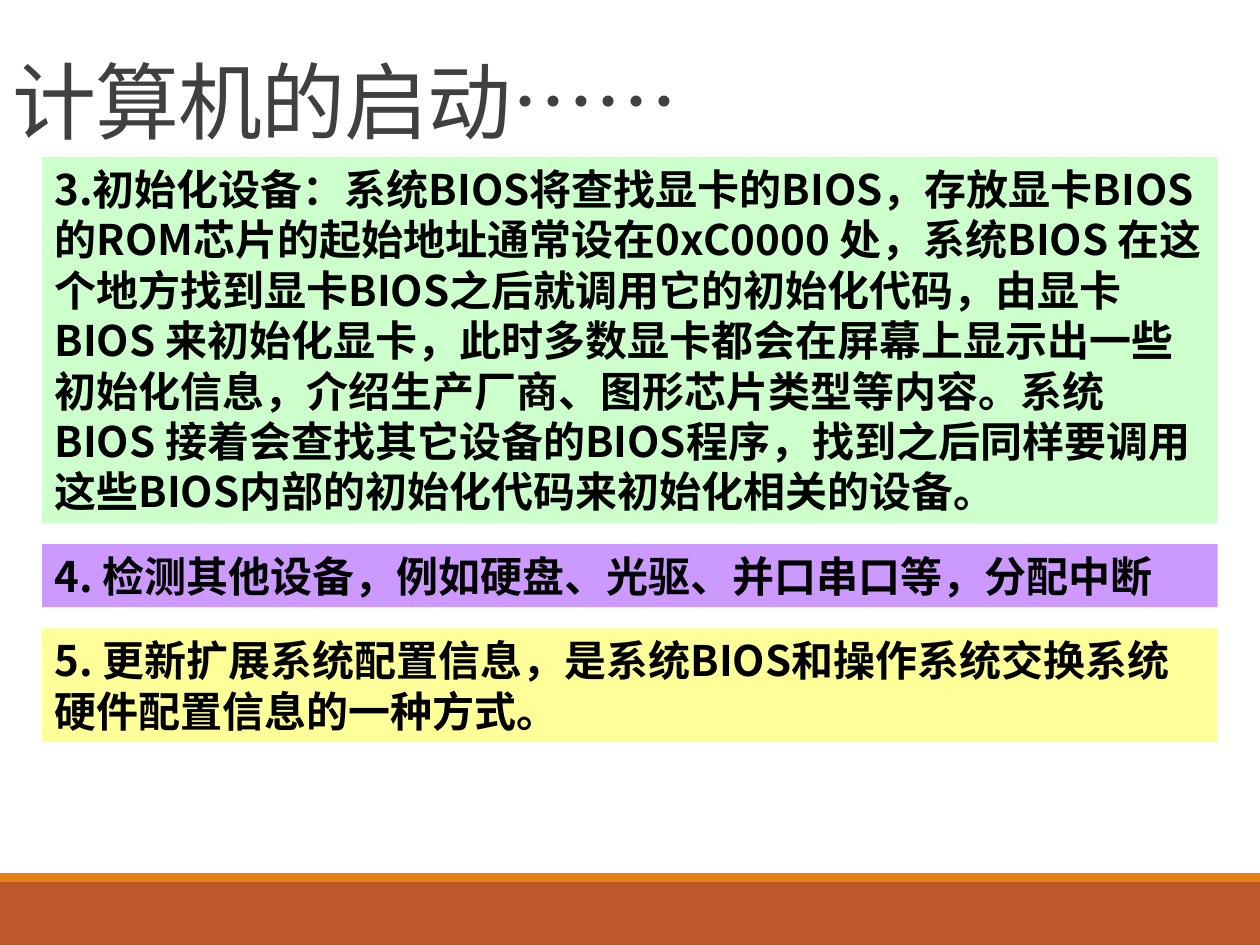
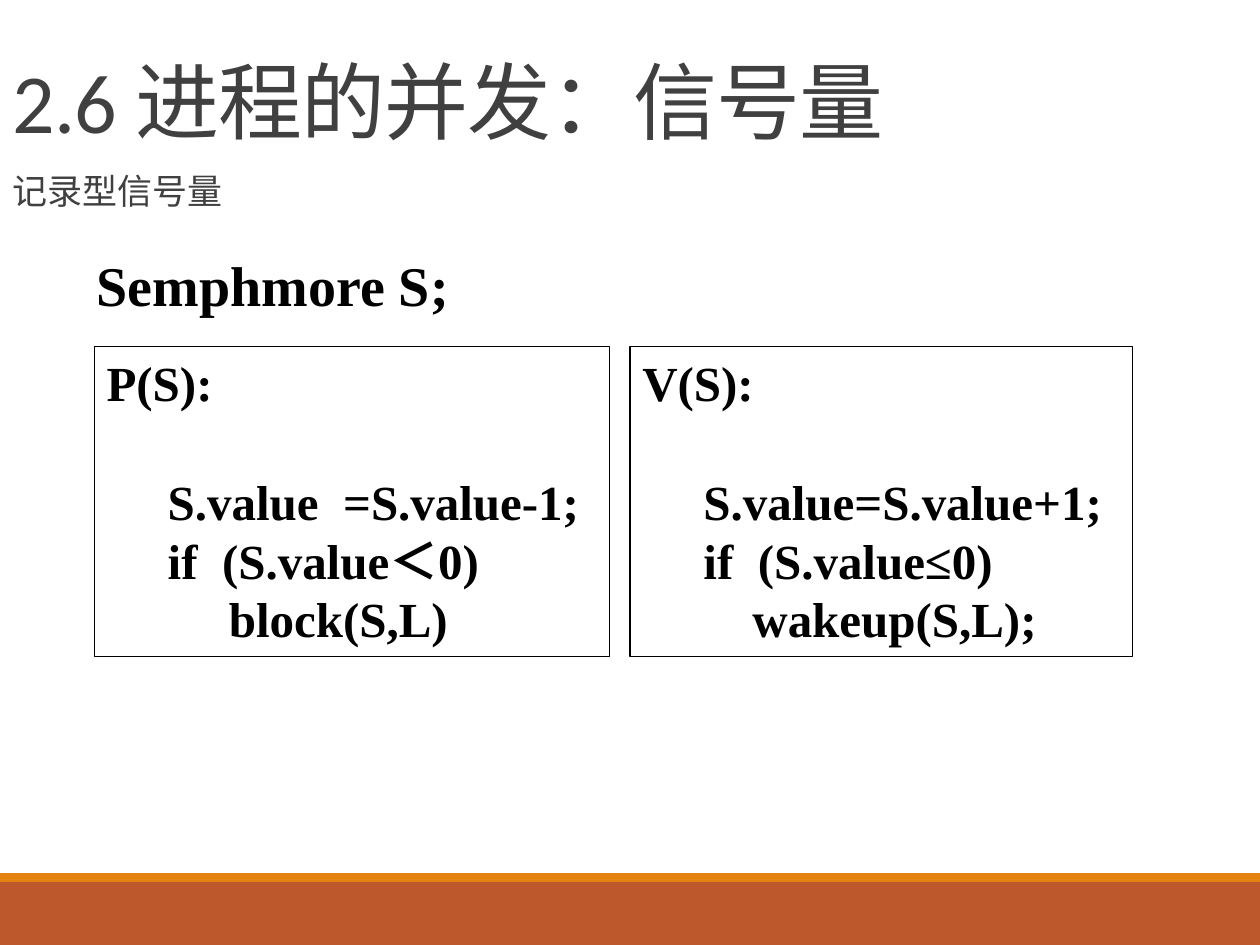
from lxml import etree
from pptx import Presentation
from pptx import util as u
from pptx.dml.color import RGBColor
from pptx.enum import shapes, text
from pptx.oxml.ns import qn

COLORS = {
    "band": "BD582C", "stripe": "E48312", "heading": "404040", "ink": "000000",
    "green": "CCFFCC", "purple": "CC99FF", "yellow": "FFFF99",
}
HEADING_FONT, CJK_FONT, CODE_FONT = "Calibri", "Noto Sans CJK SC", "Times New Roman"
WIDTH, HEIGHT = 25.4, 19.05  # all lengths in cm

BOOT_TITLE = "计算机的启动……"
BOOT_STEPS = [  # text, fill, height
    ("3.初始化设备：系统BIOS将查找显卡的BIOS，存放显卡BIOS的ROM芯片的起始地址通常设在"
     "0xC0000 处，系统BIOS 在这个地方找到显卡BIOS之后就调用它的初始化代码，由显卡BIOS "
     "来初始化显卡，此时多数显卡都会在屏幕上显示出一些初始化信息，介绍生产厂商、图形芯片"
     "类型等内容。系统BIOS 接着会查找其它设备的BIOS程序，找到之后同样要调用这些BIOS内部的"
     "初始化代码来初始化相关的设备。", "green", 7.37),
    ("4. 检测其他设备，例如硬盘、光驱、并口串口等，分配中断", "purple", 1.27),
    ("5. 更新扩展系统配置信息，是系统BIOS和操作系统交换系统硬件配置信息的一种方式。",
     "yellow", 2.29),
]
STEP_LEFT, STEP_TOP, STEP_GAP = 0.85, 3.17, 0.43

SEMAPHORE_TITLE = "2.6 进程的并发：信号量"
SEMAPHORE_TOPIC = "记录型信号量"
DECLARATION = "Semphmore S;"
OPERATIONS = [  # name, code lines, width
    ("P(S):", ["     S.value  =S.value-1;", "     if  (S.value＜0)",
               "          block(S,L)"], 10.39),
    ("V(S):", ["     S.value=S.value+1;", "     if  (S.value≤0)",
               "         wakeup(S,L);"], 10.13),
]
OPERATION_LEFT, OPERATION_TOP, OPERATION_HEIGHT, OPERATION_GAP = 1.9, 6.99, 6.25, 0.41
CODE_LINE = 34  # points, one empty line of code


def place(shape, left, top, width, height):
    shape.left, shape.top, shape.width, shape.height = map(
        u.Cm, (left, top, width, height))


def write(shape, lines, size, font, color="ink", bold=False, line_spacing=None,
          indent=0, tracking=0, wrap=True, grow=False,
          anchor=text.MSO_ANCHOR.TOP):
    """Fill the shape with one paragraph per line and return the paragraphs."""
    frame = shape.text_frame
    frame.text = "\n".join(lines)
    frame.word_wrap = wrap
    frame.vertical_anchor = anchor
    frame.auto_size = (text.MSO_AUTO_SIZE.SHAPE_TO_FIT_TEXT if grow
                       else text.MSO_AUTO_SIZE.NONE)
    for paragraph in frame.paragraphs:
        paragraph.alignment = text.PP_ALIGN.LEFT
        paragraph.space_before = u.Pt(0)
        paragraph.line_spacing = line_spacing
        properties = paragraph._p.get_or_add_pPr()
        properties.set("marL", str(u.Cm(indent)))
        properties.set("indent", "0")
        etree.SubElement(properties, qn("a:buNone"))
        for run in paragraph.runs:
            run.font.size, run.font.bold, run.font.name = u.Pt(size), bold, font
            run.font.color.rgb = RGBColor.from_string(COLORS[color])
            run.font._element.set("spc", str(tracking))
            etree.SubElement(run.font._element, qn("a:ea"), typeface=CJK_FONT)
    return frame.paragraphs


def add_box(slide, left, top, width, height, fill=None, line=None):
    box = slide.shapes.add_shape(shapes.MSO_SHAPE.RECTANGLE, 0, 0, 0, 0)
    place(box, left, top, width, height)
    box.shadow.inherit = False
    if fill:
        box.fill.solid()
        box.fill.fore_color.rgb = RGBColor.from_string(COLORS[fill])
    else:
        box.fill.background()
    if line:
        box.line.color.rgb = RGBColor.from_string(COLORS[line])
        box.line.width = u.Pt(0.75)
    else:
        box.line.fill.background()
    return box


def add_slide(prs, layout, title):
    slide = prs.slides.add_slide(prs.slide_layouts[layout])
    place(slide.shapes.title, 0, 0, WIDTH, 3.17)
    write(slide.shapes.title, [title], 48, HEADING_FONT, "heading",
          line_spacing=0.85, tracking=-50, anchor=text.MSO_ANCHOR.BOTTOM)
    return slide


def move_bands_to_master(prs, slide):
    """Draw the bottom bands once and let every slide inherit them."""
    master_tree = prs.slide_master.shapes.element
    for top, height, fill in [(17.6, 0.18, "stripe"), (17.78, 1.27, "band")]:
        band = add_box(slide, 0, top, WIDTH, height, fill)
        master_tree.insert(2, band.element)


def build_boot(prs):
    slide = add_slide(prs, 5, BOOT_TITLE)
    move_bands_to_master(prs, slide)
    top = STEP_TOP
    for step, fill, height in BOOT_STEPS:
        box = add_box(slide, STEP_LEFT, top, WIDTH - 2 * STEP_LEFT, height, fill)
        write(box, [step], 24, CJK_FONT, bold=True, grow=True)
        top += height + STEP_GAP


def build_semaphore(prs):
    slide = add_slide(prs, 1, SEMAPHORE_TITLE)
    topic = slide.placeholders[1]
    place(topic, 0, 3.38, WIDTH, 14.81)
    topic.text_frame.margin_left = topic.text_frame.margin_right = 0
    write(topic, [SEMAPHORE_TOPIC], 20, HEADING_FONT, "heading",
          line_spacing=0.9, indent=0.25)

    left = OPERATION_LEFT
    for name, code, width in OPERATIONS:
        box = add_box(slide, left, OPERATION_TOP, width, OPERATION_HEIGHT, line="ink")
        paragraphs = write(box, [name, *code], 28, CODE_FONT, bold=True,
                           wrap=False, grow=True)
        paragraphs[1].space_before = u.Pt(CODE_LINE)
        left += width + OPERATION_GAP

    declaration = slide.shapes.add_textbox(*map(u.Cm, (1.7, 4.93, 7.67, 1.63)))
    write(declaration, [DECLARATION], 32, CODE_FONT, bold=True, wrap=False, grow=True)


def main():
    prs = Presentation()
    prs.slide_width, prs.slide_height = u.Cm(WIDTH), u.Cm(HEIGHT)
    build_boot(prs)
    build_semaphore(prs)
    prs.save("out.pptx")


if __name__ == "__main__":
    main()
